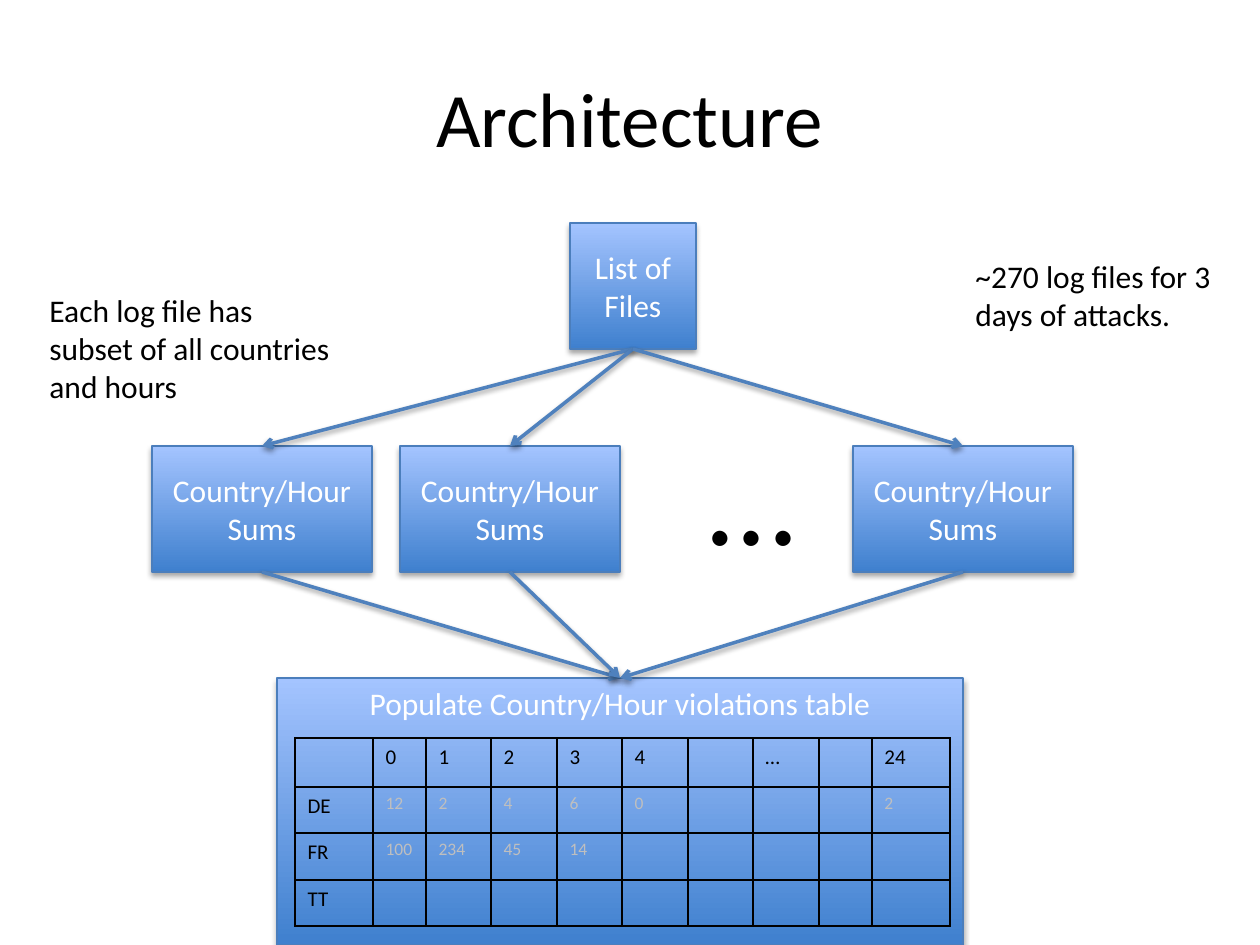
from lxml.etree import SubElement
from pptx import Presentation
from pptx.dml.color import RGBColor
from pptx.enum.shapes import MSO_CONNECTOR, MSO_SHAPE
from pptx.enum.text import MSO_ANCHOR, PP_ALIGN
from pptx.oxml import parse_xml
from pptx.oxml.ns import nsdecls, qn
from pptx.util import Pt

PX = 914400 / 126
BLACK = RGBColor(0x00, 0x00, 0x00)
WHITE = RGBColor(0xFF, 0xFF, 0xFF)
GREY = RGBColor(0xBF, 0xBF, 0xBF)
BLUE_DARK = RGBColor(0x3F, 0x80, 0xCE)
BLUE_LIGHT = RGBColor(0xA4, 0xC4, 0xFF)
BLUE_EDGE = RGBColor(0x4B, 0x7E, 0xBC)
BLUE_ARROW = RGBColor(0x4F, 0x81, 0xBD)
TOP, BOTTOM = 0, 2  # connection sites of a rectangle


def px(*lengths):
    return [round(n * PX) for n in lengths]


class Canvas:
    font = "Calibri"

    def __init__(self, slide):
        self.s = slide

    def fill_text(self, tf, text, size=18, color=BLACK, align=PP_ALIGN.LEFT):
        p = tf.paragraphs[0]
        p.alignment = align
        r = p.add_run()
        r.text = text
        for name, value in {"name": self.font, "size": Pt(size)}.items():
            setattr(r.font, name, value)
        r.font.color.rgb = color

    def shadow(self, sp, alpha, dist):
        sp._element.spPr.append(parse_xml(
            f'<a:effectLst {nsdecls("a")}><a:outerShdw blurRad="{Pt(3.1)}" '
            f'dist="{Pt(dist)}" dir="5400000" rotWithShape="0">'
            f'<a:srgbClr val="000000"><a:alpha val="{alpha}000"/></a:srgbClr>'
            '</a:outerShdw></a:effectLst>'))

    def text(self, box, text, wrap=True, anchor=MSO_ANCHOR.TOP, **style):
        tf = self.s.shapes.add_textbox(*px(*box)).text_frame
        for name, value in {"word_wrap": wrap, "vertical_anchor": anchor}.items():
            setattr(tf, name, value)
        self.fill_text(tf, text, **style)

    def box(self, box, text, anchor=MSO_ANCHOR.MIDDLE):
        sp = self.s.shapes.add_shape(MSO_SHAPE.RECTANGLE, *px(*box))
        sp.fill.gradient()
        sp.fill.gradient_angle = 90
        for stop, color in zip(sp.fill.gradient_stops, (BLUE_DARK, BLUE_LIGHT)):
            stop.color.rgb = color
        sp.line.color.rgb = BLUE_EDGE
        sp.line.width = Pt(0.75)
        self.shadow(sp, 35, 1.8)
        sp.text_frame.vertical_anchor = anchor
        self.fill_text(sp.text_frame, text, color=WHITE, align=PP_ALIGN.CENTER)
        return sp

    def arrow(self, start, end):
        c = self.s.shapes.add_connector(MSO_CONNECTOR.STRAIGHT, 0, 0, 0, 0)
        c.begin_connect(start, BOTTOM)
        c.end_connect(end, TOP)
        c.line.color.rgb = BLUE_ARROW
        c.line.width = Pt(2)
        SubElement(c.get_or_add_ln(), qn("a:tailEnd"), type="arrow")
        self.shadow(c, 38, 1.6)

    def border(self, cell):
        tcPr = cell._tc.get_or_add_tcPr()
        for i, side in enumerate(("lnL", "lnR", "lnT", "lnB")):
            tcPr.insert(i, parse_xml(
                f'<a:{side} {nsdecls("a")} w="{Pt(1)}"><a:solidFill>'
                f'<a:srgbClr val="{BLACK}"/></a:solidFill></a:{side}>'))

    def table(self, left, top, widths, heights, rows):
        area = px(left, top, sum(widths), sum(heights))
        t = self.s.shapes.add_table(len(rows), len(widths), *area).table
        for name in ("first_row", "horz_banding"):
            setattr(t, name, False)
        for col, width in zip(t.columns, px(*widths)):
            col.width = width
        for row, height in zip(t.rows, px(*heights)):
            row.height = height
        for i, row in enumerate(rows):
            for j, text in enumerate(row):
                cell = t.cell(i, j)
                cell.fill.background()
                self.border(cell)
                size, color = (10, GREY) if i and j else (12, BLACK)
                if text:
                    self.fill_text(cell.text_frame, text, size, color)
                else:
                    p = cell.text_frame.paragraphs[0]
                    SubElement(p._p, qn("a:endParaRPr"), sz=str(size * 100))


prs = Presentation()
prs.slide_width, prs.slide_height = px(1260, 945)
c = Canvas(prs.slides.add_slide(prs.slide_layouts[6]))

# Title
c.text((63, 38, 1134, 157), "Architecture", anchor=MSO_ANCHOR.MIDDLE,
       size=44, align=PP_ALIGN.CENTER)

# Boxes
files = c.box((570, 223, 126, 126), "List of Files")
sums = [c.box((x, 446, 220, 126), "Country/Hour Sums") for x in (152, 400, 853)]
result = c.box((277, 678, 686, 267), "Populate Country/Hour violations table",
               MSO_ANCHOR.TOP)
c.text((696, 413, 113, 165), "…", wrap=False, size=72)

# Arrows out to the sums and back in to the result
for box in sums:
    c.arrow(files, box)
for box in sums:
    c.arrow(box, result)

# Notes
c.text((37, 285, 309, 127), "Each log file has subset of all countries and hours")
c.text((963, 251, 297, 89), "~270 log files for 3 days of attacks.")

# Violations table
c.table(295, 738, [78, 53] + [65, 66] * 3 + [53, 78], [49, 46, 47, 46], [
    ["", "0", "1", "2", "3", "4", "", "…", "", "24"],
    ["DE", "12", "2", "4", "6", "0", "", "", "", "2"],
    ["FR", "100", "234", "45", "14", "", "", "", "", ""],
    ["TT"] + [""] * 9,
])

prs.save("out.pptx")
